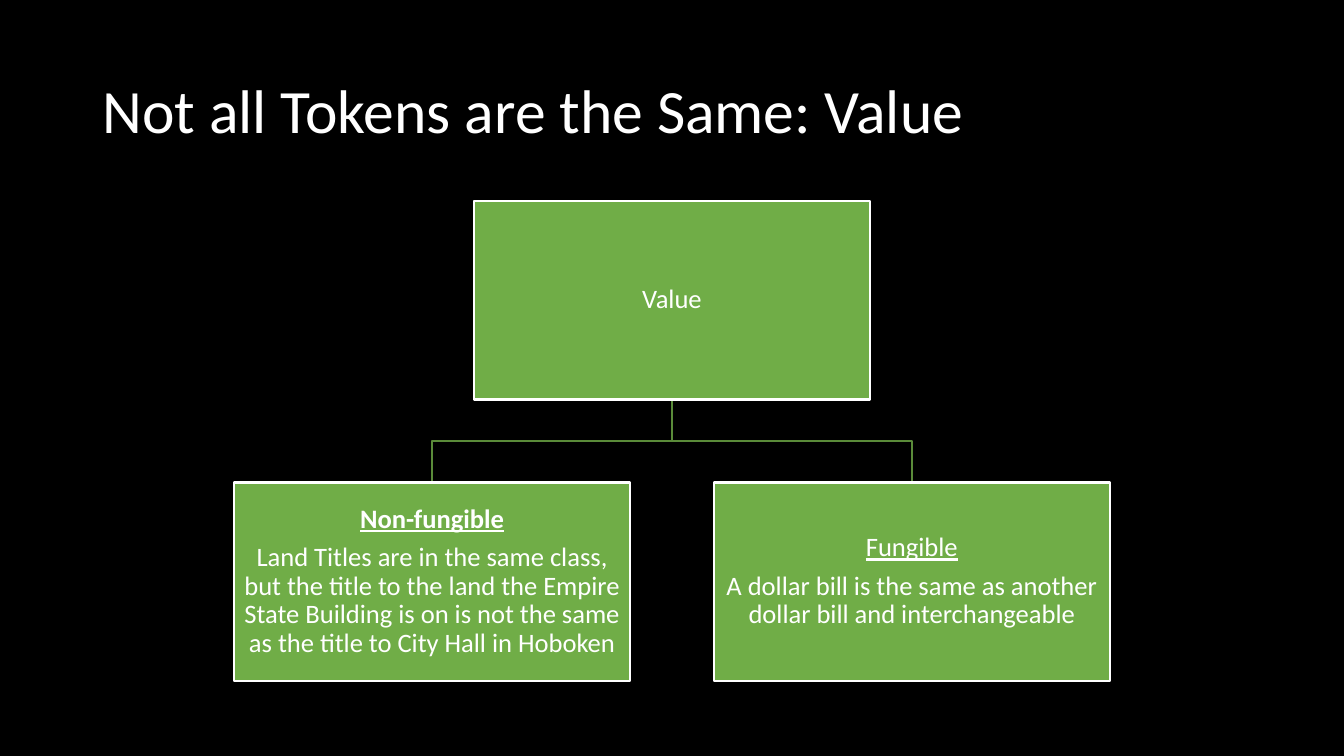
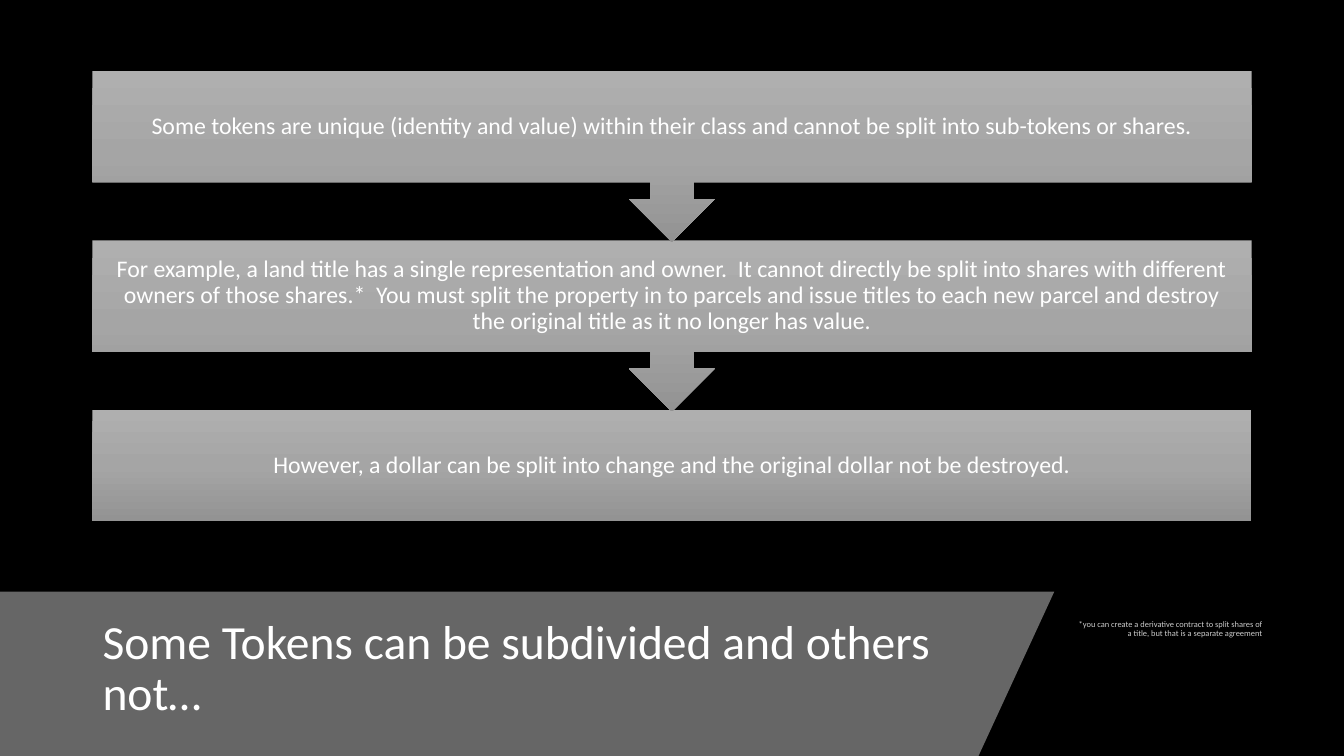
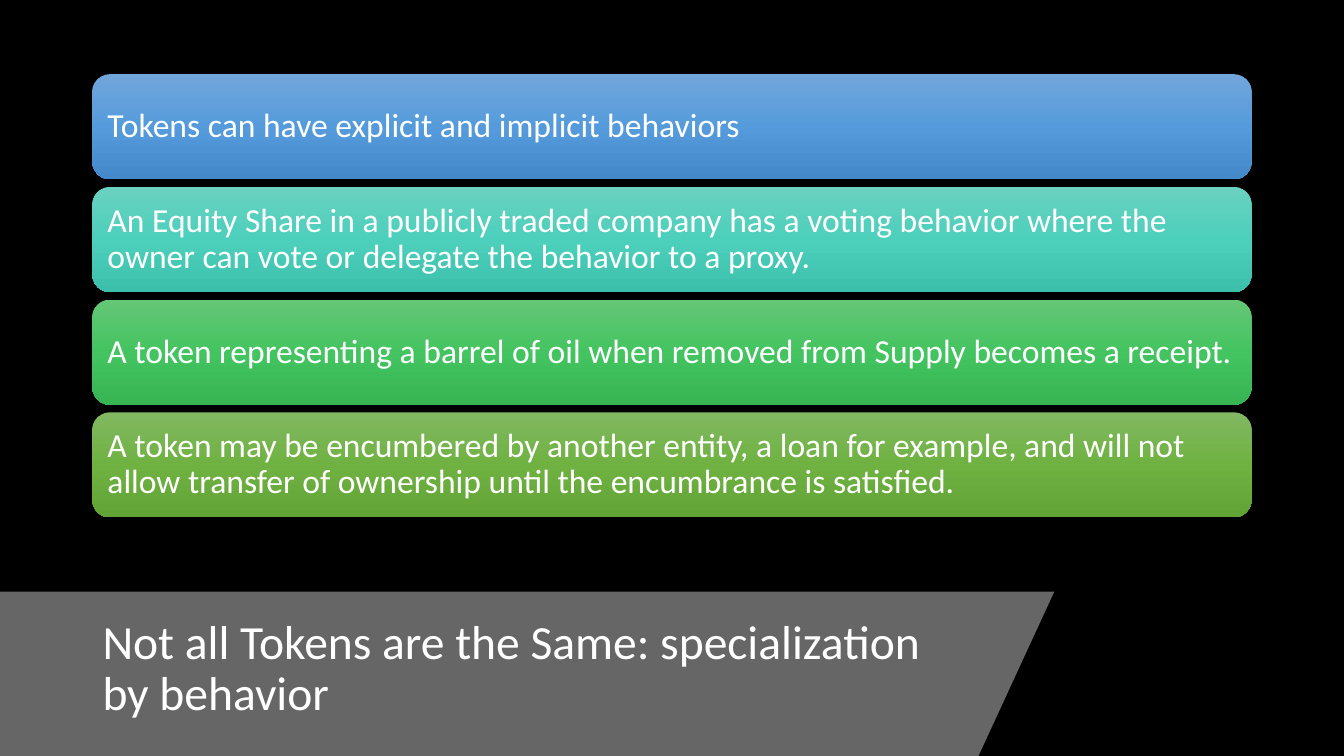
"""Builds three dark slides on how tokens differ in value, divisibility and behavior."""
from lxml import etree
from pptx import Presentation
from pptx import util as u
from pptx.dml.color import RGBColor
from pptx.enum import shapes, text
from pptx.oxml.ns import qn

Cm = u.Cm
WIDTH, HEIGHT = 33.87, 19.05
MARGIN, CONTENT_WIDTH = 2.33, 29.21
COLORS = {"back": "000000", "text": "FFFFFF", "box": "70AD47", "branch": "5A8B39"}
GRADIENTS = {
    "gray": ("AFAFAF", "A5A5A5", "939393"),
    "blue": ("71A6DB", "559BDB", "448ACA"),
    "teal": ("6AD1C0", "4CD0BC", "3CC0AC"),
    "green": ("64C677", "44C460", "36B552"),
    "olive": ("81B861", "6FB242", "62A336"),
}

VALUE_TITLE = "Not all Tokens are the Same: Value"
VALUE_ROOT = [("Value", {})]
VALUE_KINDS = [
    [("Non-fungible", {"bold": True, "underline": True}),
     ("Land Titles are in the same class, but the title to the land the Empire State Building is on "
      "is not the same as the title to City Hall in Hoboken", {})],
    [("Fungible", {"underline": True}),
     ("A dollar bill is the same as another dollar bill and interchangeable", {})],
]

SPLIT_TITLE = "Some Tokens can be subdivided and others not…"
SPLIT_STEPS = [
    "Some tokens are unique (identity and value) within their class and cannot be split into "
    "sub-tokens or shares.",
    "For example, a land title has a single representation and owner.  It cannot directly be split "
    "into shares with different owners of those shares.*  You must split the property in to parcels "
    "and issue titles to each new parcel and destroy the original title as it no longer has value.",
    "However, a dollar can be split into change and the original dollar not be destroyed.",
]
SPLIT_NOTE = ("*you can create a derivative contract to split shares of a title, "
              "but that is a separate agreement")

BEHAVIOR_TITLE = "Not all Tokens are the Same: specialization by behavior"
BEHAVIORS = [
    ("blue", "Tokens can have explicit and implicit behaviors"),
    ("teal", "An Equity Share in a publicly traded company has a voting behavior where the owner can "
             "vote or delegate the behavior to a proxy."),
    ("green", "A token representing a barrel of oil when removed from Supply becomes a receipt."),
    ("olive", "A token may be encumbered by another entity, a loan for example, and will not allow "
              "transfer of ownership until the encumbrance is satisfied."),
]


def rgb(name):
    return RGBColor.from_string(COLORS[name])


def set_alpha(element, percent):
    for color in element.iter(qn("a:srgbClr")):
        etree.SubElement(color, qn("a:alpha"), val=str(percent * 1000))


def write(shape, paragraphs, size, align="LEFT", inset=None, alpha=None):
    """Fills a shape with (text, font settings) paragraphs."""
    frame = shape.text_frame
    frame.word_wrap = True
    frame.auto_size = text.MSO_AUTO_SIZE.NONE
    frame.vertical_anchor = text.MSO_ANCHOR.MIDDLE
    if inset is not None:
        frame.margin_left = frame.margin_right = Cm(inset)
        frame.margin_top = frame.margin_bottom = Cm(inset)
    for index, (words, settings) in enumerate(paragraphs):
        paragraph = frame.add_paragraph() if index else frame.paragraphs[0]
        paragraph.alignment = text.PP_ALIGN[align]
        paragraph.line_spacing = 0.9
        paragraph.space_before = u.Pt(0.35 * size if index else 0)
        run = paragraph.add_run()
        run.text = words
        run.font.name, run.font.size = "Calibri", u.Pt(size)
        run.font.color.rgb = rgb("text")
        for key, value in settings.items():
            setattr(run.font, key, value)
    if alpha:
        set_alpha(frame._txBody, alpha)


def add_box(slide, preset, left, top, width, height, gradient=None):
    box = slide.shapes.add_shape(preset, Cm(left), Cm(top), Cm(width), Cm(height))
    box.shadow.inherit = False
    if gradient:
        box.line.fill.background()
        box.fill.gradient()
        box.fill.gradient_angle = 270
        stops = box.element.spPr.find(".//" + qn("a:gsLst"))
        stops.clear()
        for index, color in enumerate(GRADIENTS[gradient]):
            stop = etree.SubElement(stops, qn("a:gs"), pos=str(index * 50000))
            etree.SubElement(stop, qn("a:srgbClr"), val=color)
    else:
        box.fill.solid()
        box.fill.fore_color.rgb = rgb("box")
        box.line.color.rgb = rgb("text")
        box.line.width = u.Pt(1.5)
    return box


def add_outline(slide, points, close):
    (start_x, start_y), *rest = [(Cm(x), Cm(y)) for x, y in points]
    builder = slide.shapes.build_freeform(start_x, start_y)
    builder.add_line_segments(rest, close=close)
    outline = builder.convert_to_shape()
    outline.shadow.inherit = False
    return outline


def add_branch(slide, points):
    branch = add_outline(slide, points, close=False)
    branch.fill.background()
    branch.line.color.rgb = rgb("branch")
    branch.line.width = u.Pt(1)


def add_band(slide):
    top = 14.91
    band = add_outline(slide, [(0, top), (26.57, top), (24.66, HEIGHT), (0, HEIGHT)], close=True)
    band.line.fill.background()
    band.fill.solid()
    band.fill.fore_color.rgb = rgb("text")
    set_alpha(band.element.spPr, 40)


def add_slide(deck, heading, banded=True):
    slide = deck.slides.add_slide(deck.slide_layouts.get_by_name("Title Only"))
    title = slide.shapes.title
    place = (MARGIN, 15.35, 22.43, 3.05) if banded else (MARGIN, 1.01, CONTENT_WIDTH, 3.68)
    title.left, title.top, title.width, title.height = map(Cm, place)
    write(title, [(heading, {})], 34 if banded else 44)
    if banded:
        add_band(slide)
        title.element.getparent().append(title.element)
    return slide


def value_slide(deck):
    slide = add_slide(deck, VALUE_TITLE, banded=False)
    width, height, root_top, kind_top, pitch = 9.98, 5, 5.07, 12.16, 12.09
    center, root_bottom = WIDTH / 2, root_top + height
    fork = (root_bottom + kind_top) / 2
    kind_centers = [center + (index - 0.5) * pitch for index in range(len(VALUE_KINDS))]
    for x in reversed(kind_centers):
        add_branch(slide, [(center, root_bottom), (center, fork), (x, fork), (x, kind_top)])
    nodes = [(center, root_top, VALUE_ROOT)]
    nodes += [(x, kind_top, kind) for x, kind in zip(kind_centers, VALUE_KINDS)]
    for x, top, paragraphs in nodes:
        node = add_box(slide, shapes.MSO_SHAPE.RECTANGLE, x - width / 2, top, width, height)
        write(node, paragraphs, 19, "CENTER", inset=0.03)


def split_slide(deck):
    slide = add_slide(deck, SPLIT_TITLE)
    note = slide.shapes.add_textbox(Cm(26.8), Cm(15.35), Cm(5.26), Cm(1.02))
    write(note, [(SPLIT_NOTE, {})], 6, "RIGHT", alpha=80)
    last = len(SPLIT_STEPS) - 1
    for index, words in reversed(list(enumerate(SPLIT_STEPS))):
        preset, height = ((shapes.MSO_SHAPE.RECTANGLE, 2.8) if index == last
                          else (shapes.MSO_SHAPE.DOWN_ARROW_CALLOUT, 4.31))
        step = add_box(slide, preset, MARGIN, 1.79 + index * 4.27, CONTENT_WIDTH, height, "gray")
        write(step, [(words, {})], 17, "CENTER", inset=0.33)


def behavior_slide(deck):
    slide = add_slide(deck, BEHAVIOR_TITLE)
    for index, (gradient, words) in enumerate(BEHAVIORS):
        behavior = add_box(slide, shapes.MSO_SHAPE.ROUNDED_RECTANGLE, MARGIN, 1.87 + index * 2.84,
                           CONTENT_WIDTH, 2.65, gradient)
        write(behavior, [(words, {})], 24, inset=0.25)


def main():
    deck = Presentation()
    deck.slide_width, deck.slide_height = Cm(WIDTH), Cm(HEIGHT)
    backdrop = deck.slide_master.background.fill
    backdrop.solid()
    backdrop.fore_color.rgb = rgb("back")
    value_slide(deck)
    split_slide(deck)
    behavior_slide(deck)
    deck.save("out.pptx")


if __name__ == "__main__":
    main()
